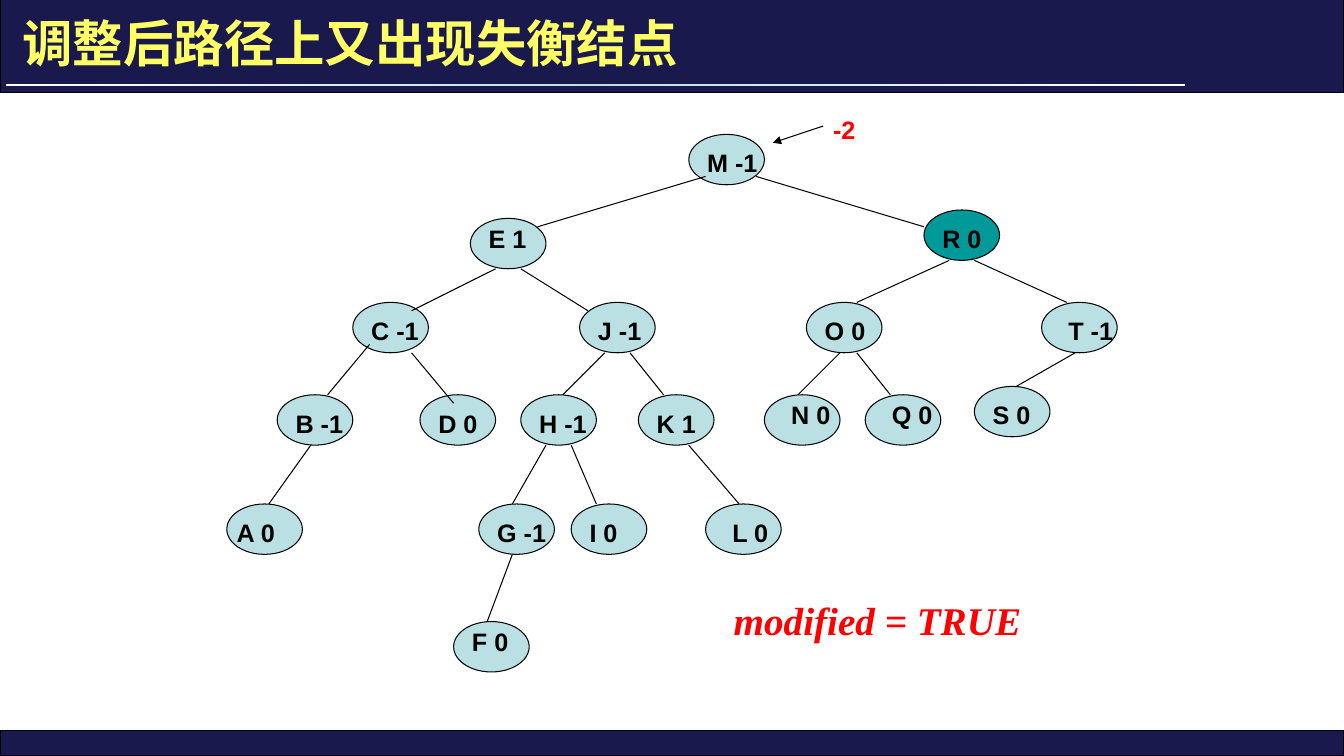
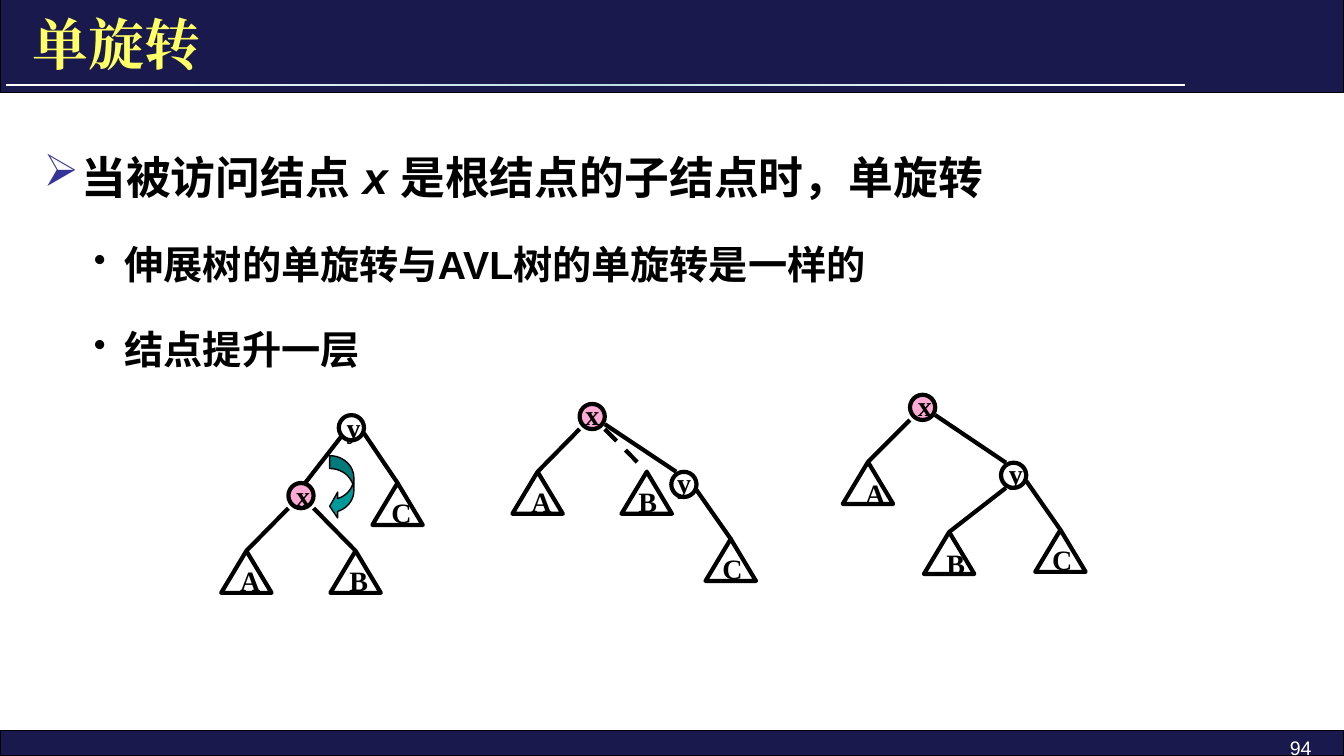
import copy

import pptx
import pptx.util
import pptx.dml.color
import pptx.enum.dml
import pptx.enum.shapes
import pptx.enum.text
import pptx.oxml
import pptx.oxml.ns

Pt = pptx.util.Pt
SHAPE = pptx.enum.shapes.MSO_SHAPE
ANCHOR = pptx.enum.text.MSO_ANCHOR
ALIGN = pptx.enum.text.PP_ALIGN
qn = pptx.oxml.ns.qn

COLORS = {
    "band": "19194D", "title": "FFFF66", "ink": "000000", "paper": "FFFFFF",
    "node": "BBE0E3", "teal": "009999", "red": "FF0000", "pink": "FF99CC",
    "bullet": "333399",
}
WIDTH, HEIGHT = 960, 540
UNIT = 6

AVL_NODES = {
    "M": ("M -1", 55, 3, 1, 1), "E": ("E 1", 29, 13, 1, 0),
    "R": ("R 0", 83, 12, 1, 1), "C": ("C -1", 15, 23, 1, 1),
    "J": ("J -1", 42, 23, 1, 1), "O": ("O 0", 69, 23, 1, 1),
    "T": ("T -1", 97, 23, 2, 1), "B": ("B -1", 6, 34, 1, 1),
    "D": ("D 0", 23, 34, 1, 1), "H": ("H -1", 35, 34, 1, 1),
    "K": ("K 1", 49, 34, 1, 1), "N": ("N 0", 64, 34, 2, 0),
    "Q": ("Q 0", 76, 34, 2, 0), "S": ("S 0", 89, 33, 1, 1),
    "A": ("A 0", 0, 47, 0, 1), "G": ("G -1", 30, 47, 1, 1),
    "I": ("I 0", 41, 47, 1, 1), "L": ("L 0", 57, 47, 2, 1),
    "F": ("F 0", 27, 61, 1, 0),
}
AVL_EDGES = [
    ("ME", (2, 5), (8, 1)), ("MR", (8, 5), (0, 2)),
    ("EC", (3, 6), (7, 1)), ("EJ", (6, 6), (1, 1)),
    ("CB", (2, 5), (6, 0)), ("CD", (7, 6), (4, 1)),
    ("BA", (4, 6), (5, 0)), ("JH", (3, 6), (5, 0)),
    ("JK", (6, 6), (3, 0)), ("HG", (3, 6), (4, 0)),
    ("HI", (6, 6), (3, 0)), ("KL", (6, 6), (4, 0)),
    ("GF", (4, 6), (4, 0)), ("RO", (3, 6), (6, 0)),
    ("RT", (6, 6), (3, 0)), ("TS", (4, 6), (5, 0)),
    ("OQ", (6, 6), (3, 0)), ("ON", (4, 6), (4, 0)),
]

LEFT, RIGHT, OUTER, APEX = (0, 18), (18, 18), (18, 13), (18, 0)
X_TO_Y = ("xy", (18, 14.5), (3.5, 0))
ROTATIONS = [
    ((158, 296.5),
     {"y": (84, 0, 3, 3.6), "x": (48, 48.5, 3, 3.6), "A": (0, 97, 4.5, 0.7),
      "B": (78, 97, 4.5, 0.7), "C": (108, 48.5, 4.5, 0.7)},
     [("yx", (2, 15), (12, 0)), ("xA", LEFT, APEX), ("xB", RIGHT, APEX),
      ("yC", OUTER, APEX)]),
    ((366, 288.5),
     {"x": (48, 0, 1.5, 0.7), "y": (113.5, 48.5, 1.5, 0.7), "A": (0, 48.5, 4.5, 0.7),
      "B": (78, 48.5, 3, 0.7), "C": (138, 96.5, 3, 0.7)},
     [X_TO_Y, ("xA", LEFT, APEX), ("xB", RIGHT, APEX), ("yC", OUTER, APEX)]),
    ((602, 282),
     {"x": (48, 0, 3, 0.7), "y": (113, 48.5, 3, 0.7), "A": (0, 48, 7.2, 3.6),
      "B": (58, 98, 7.2, 3.6), "C": (137.5, 96.5, 3, 0.7)},
     [X_TO_Y, ("xA", LEFT, APEX), ("yB", (3.5, 18), APEX), ("yC", OUTER, APEX)]),
]
BODY = [
    (0, 32, [("当被访问结点 ", False), ("x ", True), ("是根结点的子结点时，单旋转", False)]),
    (1, 28, [("伸展树的单旋转与AVL树的单旋转是一样的", False)]),
    (1, 28, [("结点提升一层", False)]),
]


def rgb(name):
    """Return the named colour."""
    return pptx.dml.color.RGBColor.from_string(COLORS[name])


def set_font(p, size, color="ink", name="Arial", bold=True, italic=None):
    """Set the font of a whole paragraph, East Asian text included."""
    f = p.font
    f.size, f.bold, f.italic, f.name = Pt(size), bold, italic, name
    f.color.rgb = rgb(color)
    latin = p._p.pPr.find(qn("a:defRPr")).find(qn("a:latin"))
    ea = copy.deepcopy(latin)
    ea.tag = qn("a:ea")
    latin.addnext(ea)


def add_shape(s, kind, box, fill=None, line=0.75):
    """Add a preset shape with an optional fill and a black outline."""
    sp = s.shapes.add_shape(kind, *map(Pt, box))
    sp.shadow.inherit = False
    if fill:
        sp.fill.solid()
        sp.fill.fore_color.rgb = rgb(fill)
    else:
        sp.fill.background()
    if line:
        sp.line.color.rgb = rgb("ink")
        sp.line.width = Pt(line)
    else:
        sp.line.fill.background()
    return sp


def add_line(s, start, end, width=0.75, dashed=False, arrow=False):
    """Add a straight black connector."""
    c = s.shapes.add_connector(
        pptx.enum.shapes.MSO_CONNECTOR.STRAIGHT, *map(Pt, (*start, *end)))
    c.line.color.rgb = rgb("ink")
    c.line.width = Pt(width)
    if dashed:
        c.line.dash_style = pptx.enum.dml.MSO_LINE.DASH
    if arrow:
        c.line._get_or_add_ln().makeelement
        pptx.oxml.xmlchemy.OxmlElement
        add_xml(c.line._get_or_add_ln(), "a:tailEnd", type="triangle")
    add_xml(c._element.spPr, "a:effectLst")
    return c


def add_xml(parent, tag, **attrs):
    """Append a child element to an XML element and return it."""
    child = parent.makeelement(qn(tag), attrs)
    parent.append(child)
    return child


def add_text(s, box, text, size, wrap=True, anchor=ANCHOR.TOP, align=ALIGN.LEFT, **font):
    """Add a one-paragraph text box."""
    tf = s.shapes.add_textbox(*map(Pt, box)).text_frame
    tf.word_wrap, tf.vertical_anchor = wrap, anchor
    p = tf.paragraphs[0]
    p.text, p.alignment = text, align
    set_font(p, size, **font)


def add_frame(s, title, box, size, font):
    """Draw the bands, the rule and the title."""
    add_shape(s, SHAPE.RECTANGLE, (0, 522, WIDTH, 18), "band")
    add_shape(s, SHAPE.RECTANGLE, (0, 0, WIDTH, 66), "band")
    rule = add_shape(s, SHAPE.RECTANGLE, (4, 60, 842.5, 1.4), line=0)
    rule.fill.gradient()
    rule.fill.gradient_angle = 0
    first = rule._element.spPr.find(qn("a:gradFill")).find(qn("a:gsLst"))[0]
    first.addnext(copy.deepcopy(first))
    for stop, color, pos in zip(rule.fill.gradient_stops, ("paper", "node", "paper"), (0, 0.5, 1)):
        stop.color.rgb = rgb(color)
        stop.position = pos
    add_text(s, box, title, size, anchor=ANCHOR.MIDDLE, color="title", name=font)


def add_avl_tree(s, left, top):
    """Draw the AVL tree with balance factors from its top left corner."""
    def at(col, row):
        return left + col * UNIT, top + row * UNIT

    for key, (_, col, row, _, _) in AVL_NODES.items():
        add_shape(s, SHAPE.OVAL, (*at(col, row), 9 * UNIT, 6 * UNIT),
                  "teal" if key == "R" else "node")
    for (parent, child), (ox, oy), (ix, iy) in AVL_EDGES:
        _, px, py, _, _ = AVL_NODES[parent]
        _, cx, cy, _, _ = AVL_NODES[child]
        add_line(s, at(px + ox, py + oy), at(cx + ix, cy + iy))
    for text, col, row, dx, dy in AVL_NODES.values():
        add_text(s, (*at(col + dx, row + dy), 9 * UNIT, 28.8), text, 18)
    add_text(s, (*at(71, 0), 7 * UNIT, 28.8), "-2", 18, color="red")
    add_line(s, at(71, 2), at(65, 4), arrow=True)


def add_rotation(s, left, top, nodes, edges, dashed=None):
    """Draw one tree of circles and subtree triangles from its top left corner."""
    for name, (x, y, inset, inset_top) in nodes.items():
        kind, w, h = ((SHAPE.ISOSCELES_TRIANGLE, 36, 30) if name.isupper()
                      else (SHAPE.OVAL, 18, 18))
        sp = add_shape(s, kind, (left + x, top + y, w, h), "pink" if name == "x" else None, 3)
        if name == "x":
            color = sp._element.spPr.find(qn("a:solidFill"))[0]
            add_xml(color, "a:alpha", val="83000")
        tf = sp.text_frame
        tf.word_wrap, tf.vertical_anchor = False, ANCHOR.MIDDLE
        tf.margin_left, tf.margin_top = Pt(inset), Pt(inset_top)
        tf.margin_right, tf.margin_bottom = Pt(7.2), Pt(3.6)
        p = tf.paragraphs[0]
        p.text, p.alignment = name, ALIGN.LEFT
        set_font(p, 20, name="Times New Roman")
    for pair, (ox, oy), (ix, iy) in edges:
        (px, py), (cx, cy) = (nodes[n][:2] for n in pair)
        add_line(s, (left + px + ox, top + py + oy), (left + cx + ix, top + cy + iy),
                 3, dashed=pair == dashed)


def add_body(s, box):
    """Write the bulleted text in its box."""
    tf = s.shapes.add_textbox(*map(Pt, box)).text_frame
    tf.word_wrap = True
    for i, (level, size, runs) in enumerate(BODY):
        p = tf.add_paragraph() if i else tf.paragraphs[0]
        p.level, p.line_spacing = level, 1.5
        if i:
            p.space_before = Pt(10)
        pPr = p._p.get_or_add_pPr()
        margin, hang, mark = ((58, 22, "•") if level else (27, 27, "➢"))
        pPr.set("marL", str(Pt(margin)))
        pPr.set("indent", str(-Pt(hang)))
        if level:
            add_xml(pPr, "a:buSzPct", val="90000")
        else:
            add_xml(add_xml(pPr, "a:buClr"), "a:srgbClr", val=COLORS["bullet"])
        add_xml(pPr, "a:buChar", char=mark)
        set_font(p, size)
        for text, italic in runs:
            r = p.add_run()
            r.text = text
            if italic:
                r.font.italic = True


def build_avl_slide(s):
    """Build the slide on the unbalanced node."""
    add_frame(s, "调整后路径上又出现失衡结点", (9, 0, 831, 60), 36, "Noto Sans CJK SC")
    add_avl_tree(s, 162, 78)
    add_text(s, (517, 422.5, 222.5, 41), "modified = TRUE", 28, wrap=False,
             color="red", name="Times New Roman", italic=True)


def build_rotation_slide(s):
    """Build the slide on single rotation."""
    add_frame(s, "单旋转", (16, 6, 831.5, 50), 40, "Cambria")
    add_body(s, (24, 84, 912, 420))
    add_text(s, (800, 522, 144, 18), "94", 14, align=ALIGN.RIGHT, color="paper", bold=False)
    for i, ((left, top), nodes, edges) in enumerate(ROTATIONS):
        add_rotation(s, left, top, nodes, edges, "xB" if i == 1 else None)
    arrow = add_shape(s, SHAPE.CURVED_LEFT_ARROW, (235.5, 325.5, 17.3, 45.4), "teal", 1)
    for i, value in enumerate((0.53, 1.07, 0.33)):
        arrow.adjustments[i] = value


def main():
    """Build and save the presentation."""
    prs = pptx.Presentation()
    prs.slide_width, prs.slide_height = Pt(WIDTH), Pt(HEIGHT)
    for build in (build_avl_slide, build_rotation_slide):
        build(prs.slides.add_slide(prs.slide_layouts[6]))
    prs.save("out.pptx")


if __name__ == "__main__":
    main()
